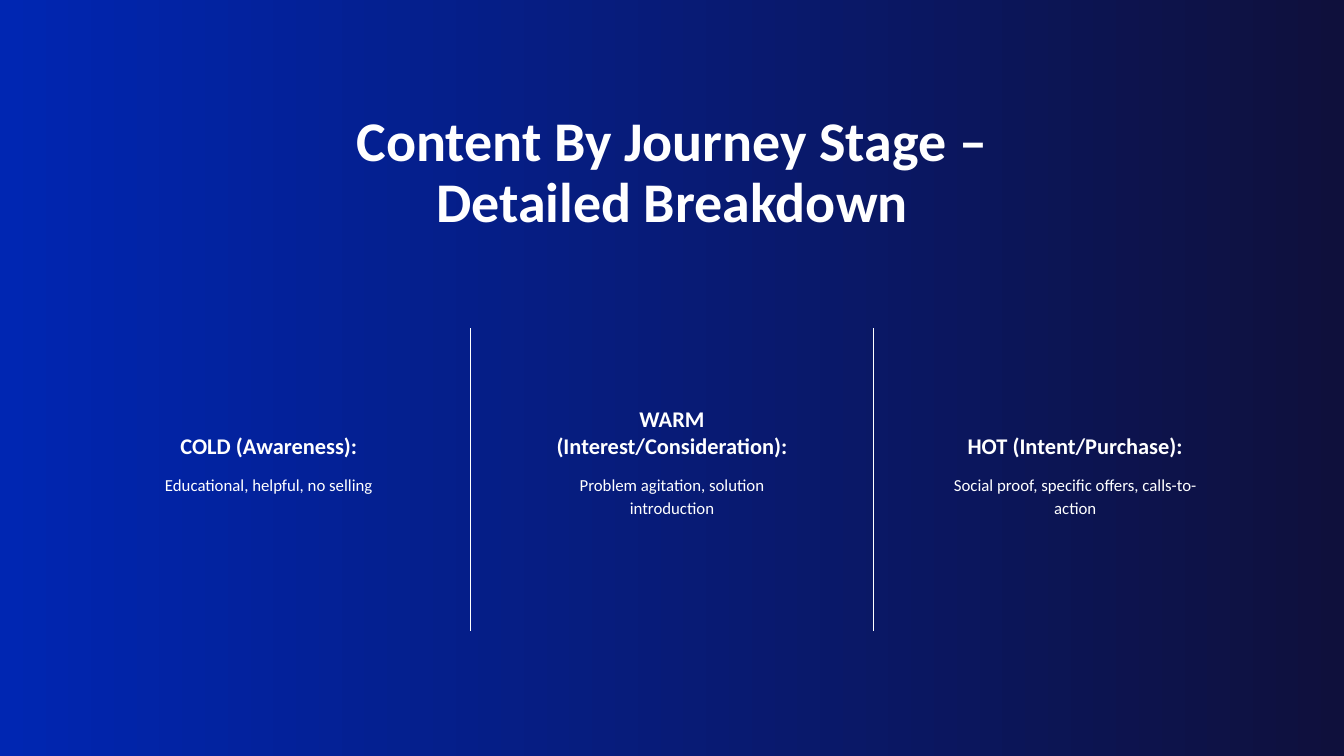
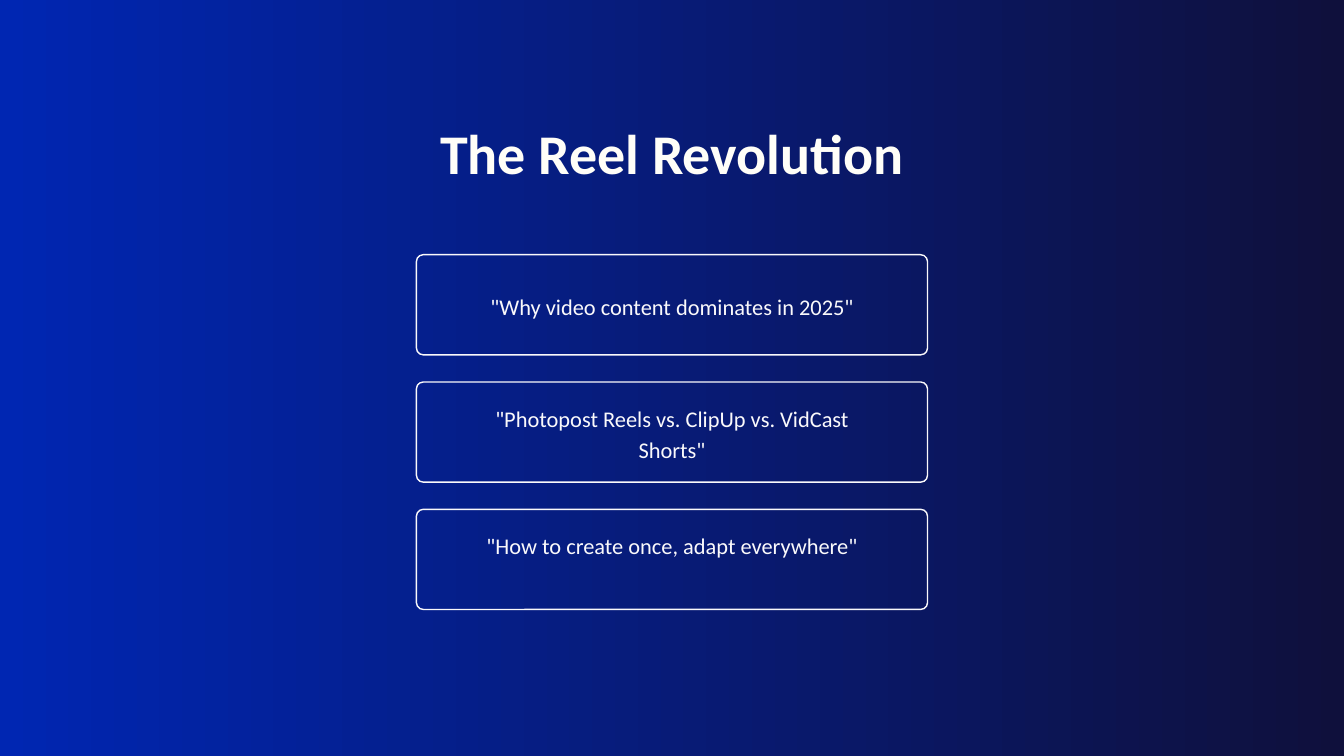
"""Build two slides on content stages and short videos."""
from lxml.etree import SubElement
from pptx import Presentation
from pptx.dml.color import RGBColor
from pptx.enum.shapes import MSO_CONNECTOR, MSO_SHAPE
from pptx.enum.text import MSO_AUTO_SIZE, PP_ALIGN
from pptx.oxml.ns import qn
from pptx.util import Pt

COLORS = {
    "blue": "0026B2",
    "navy": "0F103C",
    "white": "FFFFFF",
    "cream": "FFFEF8",
    "pale": "FAF9FB",
}
FONT = "Calibri"
SLIDE_WIDTH, SLIDE_HEIGHT = 1440, 810
CENTER = SLIDE_WIDTH / 2


def color(name):
    return RGBColor.from_string(COLORS[name])


def write_text(frame, text, size=18, leading=25.2, bold=False, ink="white"):
    frame.margin_left = frame.margin_right = 0
    frame.margin_top = frame.margin_bottom = 0
    frame.word_wrap = True
    frame.auto_size = MSO_AUTO_SIZE.SHAPE_TO_FIT_TEXT
    paragraph = frame.paragraphs[0]
    paragraph.alignment = PP_ALIGN.CENTER
    paragraph.line_spacing = Pt(leading)
    run = paragraph.add_run()
    run.text = text
    run.font.name = FONT
    run.font.size = Pt(size)
    run.font.bold = bold
    run.font.color.rgb = color(ink)


class Deck:
    def __init__(self):
        self.presentation = Presentation()
        self.presentation.slide_width = Pt(SLIDE_WIDTH)
        self.presentation.slide_height = Pt(SLIDE_HEIGHT)
        self.slide = None

    def new_slide(self):
        layout = self.presentation.slide_layouts[6]
        self.slide = self.presentation.slides.add_slide(layout)
        fill = self.slide.background.fill
        fill.gradient()
        fill.gradient_angle = 0
        for stop, name, position in zip(fill.gradient_stops, ("blue", "navy"), (0, 1)):
            stop.color.rgb = color(name)
            stop.position = position

    def group(self):
        return self.slide.shapes.add_group_shape().shapes

    def text(self, text, center, top, width, height, shapes=None, **style):
        shapes = self.slide.shapes if shapes is None else shapes
        box = shapes.add_textbox(Pt(center - width / 2), Pt(top), Pt(width), Pt(height))
        write_text(box.text_frame, text, **style)

    def title(self, text, top, width, height, ink="white"):
        self.text(text, CENTER, top, width, height,
                  size=60, leading=66, bold=True, ink=ink)

    def divider(self, x, top, bottom):
        line = self.slide.shapes.add_connector(
            MSO_CONNECTOR.STRAIGHT, Pt(x), Pt(bottom), Pt(x), Pt(top))
        line.line.color.rgb = color("white")
        line.line.width = Pt(0.75)
        SubElement(line._element.spPr, qn("a:effectLst"))

    def stage(self, center, heading, heading_lines, body, body_lines):
        shapes = self.group()
        heading_height = 28.6 * heading_lines
        self.text(heading, center, 491.4 - heading_height, 309.6, heading_height,
                  shapes, size=24, leading=28.8, bold=True)
        self.text(body, center, 504.7, 284.4, 24.5 * body_lines, shapes)

    def card(self, top, text, text_offset, text_width, text_height):
        shapes = self.group()
        width, height, radius = 547.6, 107.3, 7.3
        card = shapes.add_shape(MSO_SHAPE.ROUNDED_RECTANGLE, Pt(CENTER - width / 2),
                                Pt(top), Pt(width), Pt(height))
        card.adjustments[0] = radius / height
        card.shadow.inherit = False
        card.fill.background()
        card.line.color.rgb = color("pale")
        card.line.width = Pt(1.5)
        self.text(text, CENTER, top + text_offset, text_width, text_height,
                  shapes, size=24, leading=33.6, ink="pale")


def build_journey_stages(deck):
    deck.new_slide()
    column = 432
    for side in (-0.5, 0.5):
        deck.divider(CENTER + side * column, 351.4, 676.1)
    deck.title("Content By Journey Stage – Detailed Breakdown", 118.8, 834.5, 131.8)
    stages = [
        ("COLD (Awareness):", 1, "Educational, helpful, no selling", 1),
        ("WARM (Interest/Consideration):", 2, "Problem agitation, solution introduction", 2),
        ("HOT (Intent/Purchase):", 1, "Social proof, specific offers, calls-to-action", 2),
    ]
    for index, stage in enumerate(stages):
        deck.stage(CENTER + (index - 1) * column, *stage)


def build_reel_revolution(deck):
    deck.new_slide()
    deck.title("The Reel Revolution", 132.5, 958.3, 67, ink="cream")
    cards = [
        ('"Why video content dominates in 2025"', 36, 450.7, 31.7),
        ('"Photopost Reels vs. ClipUp vs. VidCast Shorts"', 19.5, 432, 64.8),
        ('"How to create once, adapt everywhere"', 19.5, 419, 64.8),
    ]
    for index, card in enumerate(cards):
        deck.card(272.9 + index * 136.4, *card)


def main():
    deck = Deck()
    build_journey_stages(deck)
    build_reel_revolution(deck)
    deck.presentation.save("out.pptx")


if __name__ == "__main__":
    main()
